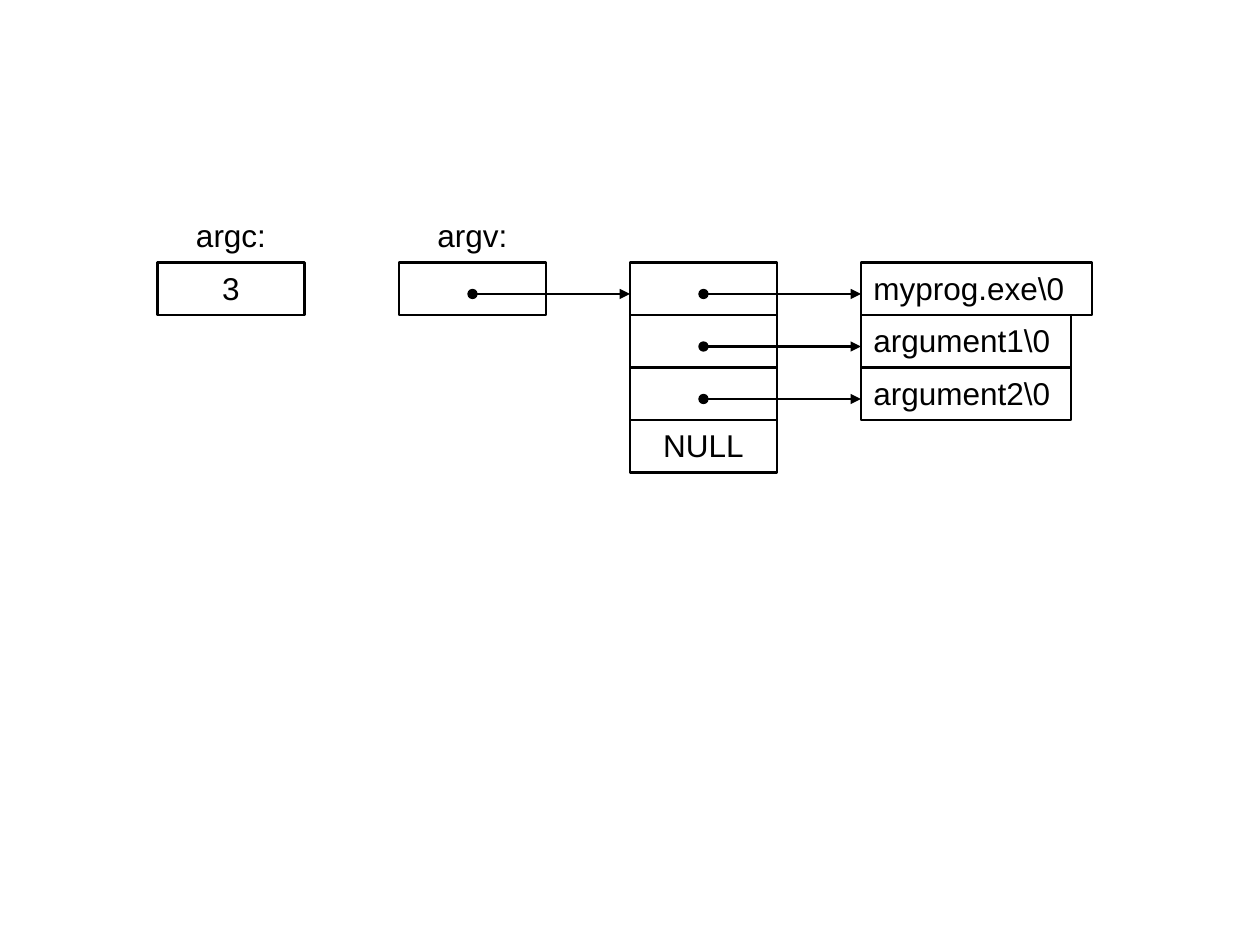
"""Draw the memory layout of argc and argv as boxes and pointers."""
from lxml.etree import SubElement
from pptx import Presentation
from pptx.dml.color import RGBColor
from pptx.enum.shapes import MSO_CONNECTOR, MSO_SHAPE
from pptx.enum.text import MSO_ANCHOR, MSO_AUTO_SIZE, PP_ALIGN
from pptx.oxml.ns import qn
from pptx.util import Pt

BLACK = RGBColor(0, 0, 0)
FONT = "Arial"
TOP, ROW, CELL, TEXT_H = 150, 30, 84, 28.8
ARGC_X, ARGV_X, ARRAY_X, STRING_X = 90, 228, 360, 492
POINTER_DY = 18

LABELS = [("argc:", ARGC_X), ("argv:", ARGV_X)]
ARRAY = ["", "", "", "NULL"]
STRINGS = [("myprog.exe\\0", 132, 126), ("argument1\\0", 120, 132), ("argument2\\0", 120, 132)]


def add_box(s, x, y, w):
    sp = s.shapes.add_shape(MSO_SHAPE.RECTANGLE, Pt(x), Pt(y), Pt(w), Pt(ROW))
    sp.shadow.inherit = False
    sp.fill.background()
    sp.line.color.rgb = BLACK
    sp.line.width = Pt(1.5)


def add_text(s, text, x, y, w=CELL, align=PP_ALIGN.CENTER):
    tf = s.shapes.add_textbox(Pt(x), Pt(y), Pt(w), Pt(TEXT_H)).text_frame
    tf.word_wrap = True
    tf.auto_size = MSO_AUTO_SIZE.SHAPE_TO_FIT_TEXT
    tf.vertical_anchor = MSO_ANCHOR.TOP
    p = tf.paragraphs[0]
    p.text = text
    p.alignment = align
    p.space_before = Pt(11.2)
    font = p.runs[0].font
    font.name, font.size, font.color.rgb = FONT, Pt(18), BLACK


def add_pointer(s, cell_x, target_x, row):
    y = Pt(TOP + row * ROW + POINTER_DY)
    c = s.shapes.add_connector(MSO_CONNECTOR.STRAIGHT, Pt(cell_x + CELL / 2), y, Pt(target_x), y)
    c.line.color.rgb = BLACK
    c.line.width = Pt(1.5)
    ln = c.line._get_or_add_ln()
    SubElement(ln, qn("a:headEnd"), type="oval")
    SubElement(ln, qn("a:tailEnd"), type="triangle")
    SubElement(c._element.spPr, qn("a:effectLst"))


def main():
    prs = Presentation()
    prs.slide_width, prs.slide_height = Pt(720), Pt(540)
    s = prs.slides.add_slide(prs.slide_layouts[6])

    for label, x in LABELS:
        add_box(s, x, TOP, CELL)
        add_text(s, label, x, TOP - ROW)
    add_text(s, "3", ARGC_X, TOP)

    for row, text in enumerate(ARRAY):
        y = TOP + row * ROW
        add_box(s, ARRAY_X, y, CELL)
        if text:
            add_text(s, text, ARRAY_X, y)

    for row, (text, box_w, text_w) in enumerate(STRINGS):
        y = TOP + row * ROW
        add_box(s, STRING_X, y, box_w)
        add_text(s, text, STRING_X, y, text_w, PP_ALIGN.LEFT)
        add_pointer(s, ARRAY_X, STRING_X, row)
    add_pointer(s, ARGV_X, ARRAY_X, 0)

    prs.save("out.pptx")


if __name__ == "__main__":
    main()
